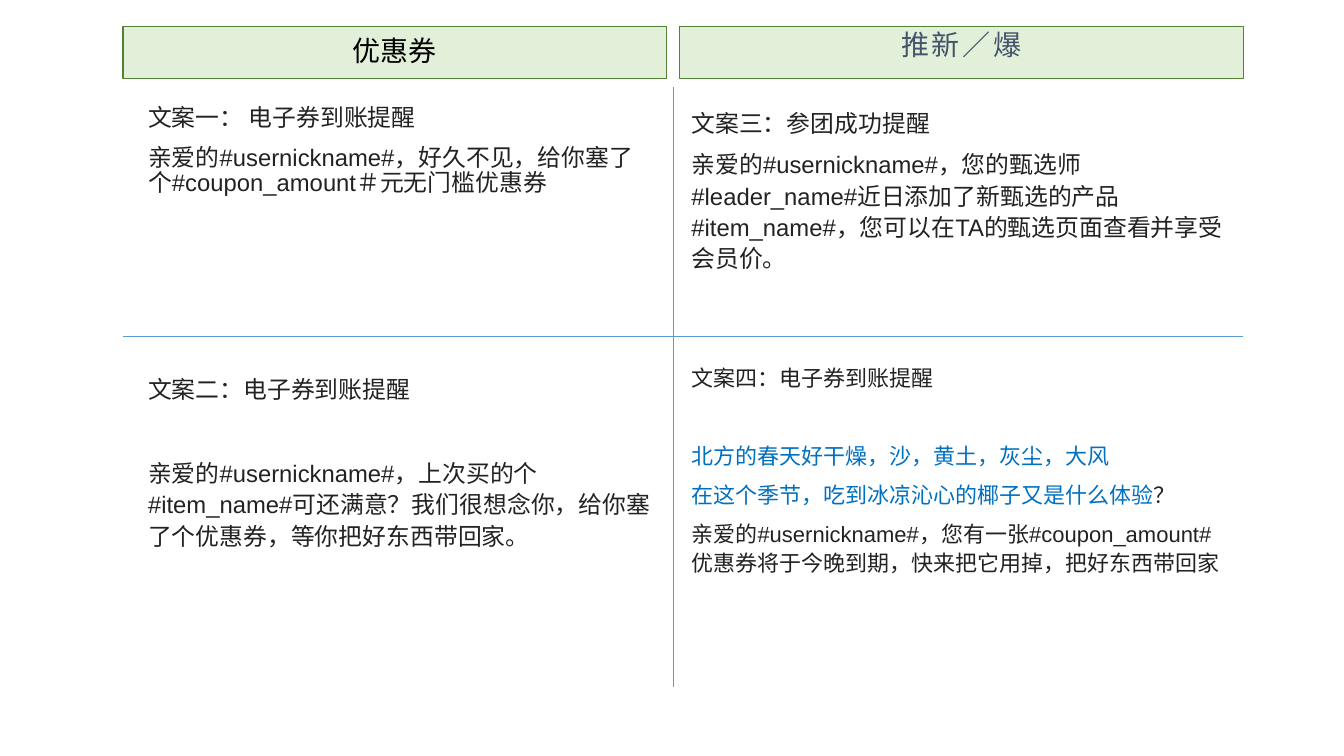
from dataclasses import dataclass

from pptx import Presentation
from pptx.dml.color import RGBColor
from pptx.enum.shapes import MSO_CONNECTOR as Connector, MSO_SHAPE as Shape
from pptx.enum.text import MSO_ANCHOR as Anchor, PP_ALIGN as Align
from pptx.oxml.ns import qn
from pptx.util import Inches, Pt


@dataclass(frozen=True)
class Theme:
    """Colours, fonts and type sizes of the slide."""
    header_fill: str = "E2F0D9"
    header_line: str = "548235"
    black: str = "000000"
    slate: str = "44546A"
    ink: str = "222222"
    accent: str = "0070C0"
    rule: str = "5B9BD5"
    header_font: str = "Calibri"
    body_font: str = "Arial"
    header_size: float = 20
    body_size: float = 17
    small_size: float = 15.7


THEME = Theme()

# Grid edges in inches: outer frame, text margins and the two dividers.
COLS = {"left": 1.22, "text_left": 1.37, "left_end": 6.61, "divider": 6.68,
        "right": 6.74, "text_right": 6.76, "end": 12.33}
ROWS = {"header": 0.26, "header_end": 0.78, "divider_top": 0.86, "upper": 1.0,
        "divider": 3.34, "upper_end": 3.36, "lower_right": 3.54,
        "lower_left": 3.64, "lower_end": 6.0, "divider_end": 6.82}


def area(left, top, right, bottom):
    """Return left, top, width and height between four grid edges."""
    x, y = COLS[left], ROWS[top]
    return [Inches(n) for n in (x, y, COLS[right] - x, ROWS[bottom] - y)]


def write(paragraph, runs, *, font, size, color, align=Align.LEFT,
          leading=1.0, before=0, tracking=0):
    """Fill a paragraph with runs, each a string or a (string, colour) pair."""
    paragraph.alignment = align
    paragraph.line_spacing = leading
    paragraph.space_before = Pt(before)
    for part in runs:
        words, tint = part if isinstance(part, tuple) else (part, color)
        run = paragraph.add_run()
        run.text = words
        run.font.name = font
        run.font.size = Pt(size)
        run.font.color.rgb = RGBColor.from_string(tint)
        if tracking:
            run.font._element.set("spc", str(tracking * 100))


def add_header(slide, title, left, right, *, color, anchor, tracking=0):
    """Draw a green column header."""
    header = slide.shapes.add_shape(
        Shape.RECTANGLE, *area(left, "header", right, "header_end"))
    header.shadow.inherit = False
    header.fill.solid()
    header.fill.fore_color.rgb = RGBColor.from_string(THEME.header_fill)
    header.line.color.rgb = RGBColor.from_string(THEME.header_line)
    header.line.width = Pt(0.75)
    header.text_frame.word_wrap = True
    header.text_frame.vertical_anchor = anchor
    write(header.text_frame.paragraphs[0], [title], font=THEME.header_font,
          size=THEME.header_size, color=color, align=Align.CENTER,
          leading=0.9, tracking=tracking)


def add_copy(slide, place, paragraphs, *, size=THEME.body_size, leading=1.1):
    """Add a message; paragraphs are (space before, runs) pairs."""
    frame = slide.shapes.add_textbox(*area(*place)).text_frame
    frame.word_wrap = True
    for index, (before, runs) in enumerate(paragraphs):
        paragraph = frame.add_paragraph() if index else frame.paragraphs[0]
        write(paragraph, runs, font=THEME.body_font, size=size,
              color=THEME.ink, leading=leading, before=before)


def add_divider(slide, left, top, right, bottom):
    """Draw a thin line between two grid points."""
    divider = slide.shapes.add_connector(
        Connector.STRAIGHT, Inches(COLS[left]), Inches(ROWS[top]),
        Inches(COLS[right]), Inches(ROWS[bottom]))
    divider.line.color.rgb = RGBColor.from_string(THEME.rule)
    divider.line.width = Pt(0.5)
    properties = divider._element.spPr
    properties.append(properties.makeelement(qn("a:effectLst"), {}))


def main():
    """Build the slide with four message templates and save it."""
    deck = Presentation()
    deck.slide_width, deck.slide_height = Inches(13.33), Inches(7.5)
    slide = deck.slides.add_slide(deck.slide_layouts[6])

    add_header(slide, "优惠券", "left", "left_end",
               color=THEME.black, anchor=Anchor.MIDDLE)
    add_header(slide, "推新／爆", "right", "end",
               color=THEME.slate, anchor=Anchor.TOP, tracking=2)

    add_copy(slide, ("text_left", "upper", "left_end", "upper_end"), [
        (5, ["文案一： 电子券到账提醒"]),
        (10, ["亲爱的#usernickname#，好久不见，给你塞了个"
              "#coupon_amount＃元无门槛优惠券"]),
    ], leading=0.9)
    add_copy(slide, ("text_right", "upper", "end", "upper_end"), [
        (7, ["文案三：参团成功提醒"]),
        (7, ["亲爱的#usernickname#，您的甄选师#leader_name#近日添加了"
             "新甄选的产品 #item_name#，您可以在TA的甄选页面查看并享受会员价。"]),
    ])
    add_copy(slide, ("text_left", "lower_left", "left_end", "lower_end"), [
        (7, ["文案二：电子券到账提醒"]),
        (37.5, ["亲爱的#usernickname#，上次买的个#item_name#可还满意？"
                "我们很想念你，给你塞了个优惠券，等你把好东西带回家。"]),
    ])
    add_copy(slide, ("text_right", "lower_right", "end", "lower_end"), [
        (7, ["文案四：电子券到账提醒"]),
        (35, [("北方的春天好干燥，沙，黄土，灰尘，大风", THEME.accent)]),
        (7, [("在这个季节，吃到冰凉沁心的椰子又是什么体验", THEME.accent), "？"]),
        (7, ["亲爱的#usernickname#，您有一张#coupon_amount#优惠券将于今晚到期，"
             "快来把它用掉，把好东西带回家"]),
    ], size=THEME.small_size)

    add_divider(slide, "left", "divider", "end", "divider")
    add_divider(slide, "divider", "divider_top", "divider", "divider_end")
    deck.save("out.pptx")


main()
